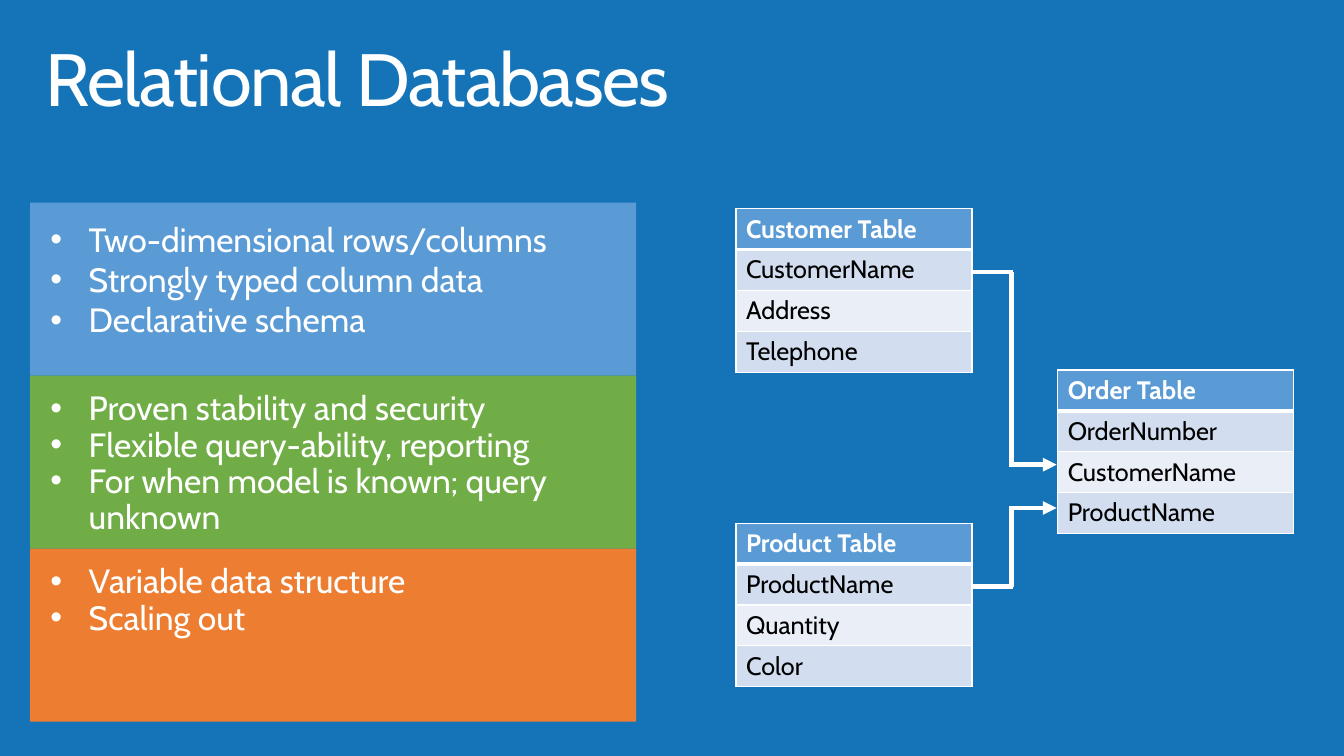
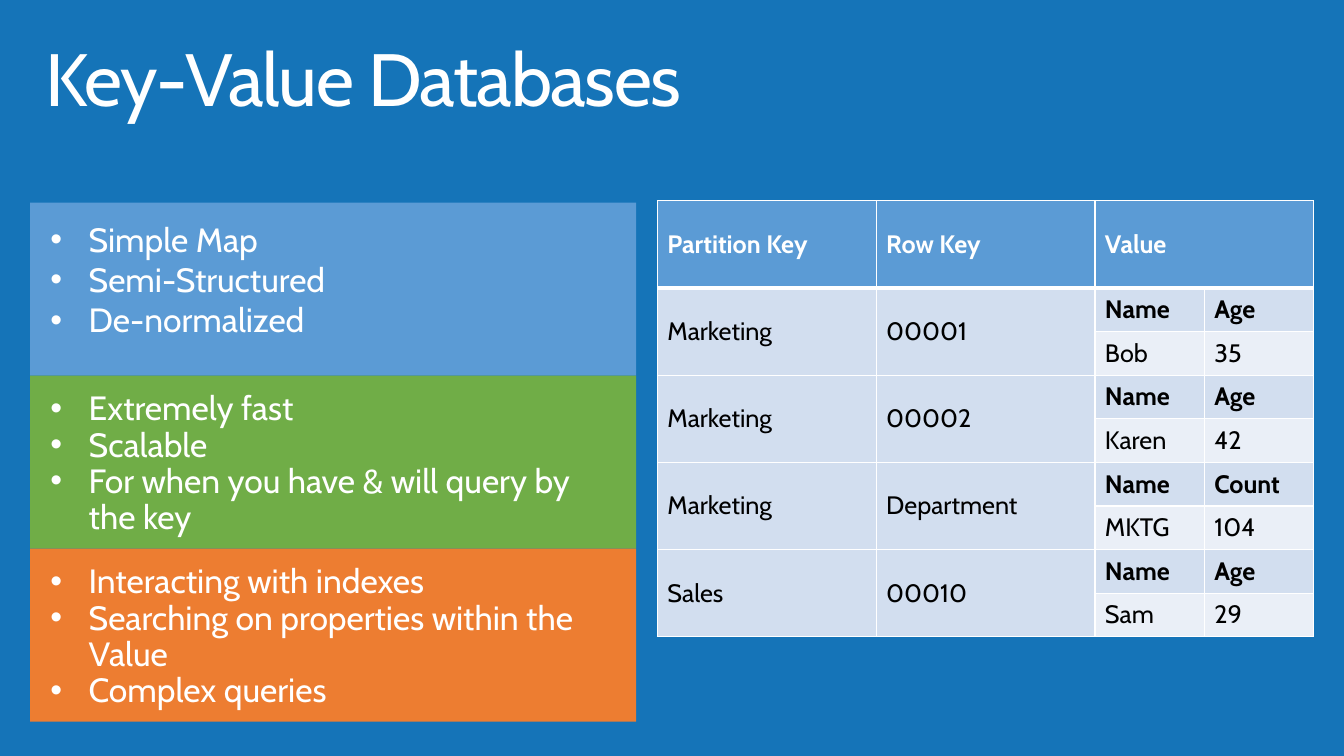
from lxml import etree
from pptx import Presentation
from pptx.dml.color import RGBColor
from pptx.enum.shapes import MSO_CONNECTOR, MSO_SHAPE
from pptx.enum.text import MSO_ANCHOR, PP_ALIGN
from pptx.oxml.ns import qn
from pptx.util import Inches, Pt

STRAIGHT = MSO_CONNECTOR.STRAIGHT
RECTANGLE = MSO_SHAPE.RECTANGLE
TOP, MIDDLE = MSO_ANCHOR.TOP, MSO_ANCHOR.MIDDLE
LEFT = PP_ALIGN.LEFT

FONT = "Cabin"
WHITE, BLACK, BACKDROP = "FFFFFF", "000000", "1574B8"
BLUE, GREEN, ORANGE = "5B9BD5", "70AD47", "ED7D31"
ROW_DARK, ROW_LIGHT = "D2DEEF", "EAEFF7"

TITLE_BOX = (0.29, 0.32, 12.62, 0.98)
BANDS_BOX = (0.3, 2.01, 6.01, 5.15)
BAND_STYLES = [(BLUE, 1.0), (GREEN, 0.9), (ORANGE, 0.9)]
ENTITY_WIDTH, ENTITY_ROW = 2.34, 0.4


def rgb(value):
    """Turn a hex string into a colour."""
    return RGBColor.from_string(value)


def write(frame, lines, size=18, color=WHITE, bold=False, spacing=None,
          margins=None, anchor=TOP, bullet=False, tracking=None):
    """Fill a text frame with one paragraph per line in one format."""
    frame.word_wrap = True
    frame.vertical_anchor = anchor
    if margins:
        frame.margin_left = frame.margin_right = Inches(margins[0])
        frame.margin_top = frame.margin_bottom = Inches(margins[1])
    frame.text = "\n".join(lines)
    for paragraph in frame.paragraphs:
        paragraph.alignment = LEFT
        if spacing:
            paragraph.line_spacing = spacing
        if bullet:
            properties = paragraph._p.get_or_add_pPr()
            properties.set("marL", str(Inches(0.38)))
            properties.set("indent", str(-Inches(0.38)))
            etree.SubElement(properties, qn("a:buFont")).set("typeface", "Arial")
            etree.SubElement(properties, qn("a:buChar")).set("char", "•")
        for run in paragraph.runs:
            font = run.font
            font.name, font.size, font.bold = FONT, Pt(size), bold
            font.color.rgb = rgb(color)
            if tracking:
                run._r.get_or_add_rPr().set("spc", str(tracking))


def add_titled_slide(prs, title):
    """Add a title-only slide with its heading in place."""
    slide = prs.slides.add_slide(prs.slide_layouts[5])
    heading = slide.shapes.title
    heading.left, heading.top, heading.width, heading.height = map(Inches, TITLE_BOX)
    write(heading.text_frame, [title], size=52.9, spacing=0.9,
          margins=(0.16, 0.1), tracking=-98)
    return slide


def add_bands(slide, box, band_texts):
    """Stack equal coloured bands of bullets inside the box."""
    left, top, width, height = box
    band_height = height / len(band_texts)
    for index, (points, (color, spacing)) in enumerate(zip(band_texts, BAND_STYLES)):
        band = slide.shapes.add_shape(
            RECTANGLE, Inches(left), Inches(top + index * band_height),
            Inches(width), Inches(band_height))
        band.shadow.inherit = False
        band.fill.solid()
        band.fill.fore_color.rgb = rgb(color)
        band.line.fill.background()
        write(band.text_frame, points, size=24, spacing=spacing,
              margins=(0.2, 0.16), bullet=True)


def set_borders(cell, top=1, bottom=1):
    """Draw white borders round a cell, with widths in points."""
    properties = cell._tc.get_or_add_tcPr()
    for side, width in (("L", 1), ("R", 1), ("T", top), ("B", bottom)):
        line = etree.SubElement(properties, qn("a:ln" + side), w=str(Pt(width)))
        fill = etree.SubElement(line, qn("a:solidFill"))
        etree.SubElement(fill, qn("a:srgbClr"), val=WHITE)


def add_grid(slide, left, top, widths, heights):
    """Add a plain table with the given column widths and row heights."""
    grid = slide.shapes.add_table(
        len(heights), len(widths), Inches(left), Inches(top),
        Inches(sum(widths)), Inches(sum(heights))).table
    grid.horz_banding = False
    for column, width in zip(grid.columns, widths):
        column.width = Inches(width)
    for row, height in zip(grid.rows, heights):
        row.height = Inches(height)
    return grid


def fill_cell(grid, row, column, text, fill, bold=False, anchor=TOP):
    """Format one cell, with a thick rule below the header row."""
    cell = grid.cell(row, column)
    header = row == 0
    set_borders(cell, top=3 if row == 1 else 1, bottom=3 if header else 1)
    cell.fill.solid()
    cell.fill.fore_color.rgb = rgb(fill)
    if text:
        write(cell.text_frame, [text], color=WHITE if header else BLACK, bold=bold)
    cell.vertical_anchor = anchor


def add_entity(slide, left, top, name, fields):
    """Draw one database table with its name and fields."""
    rows = [name] + fields
    grid = add_grid(slide, left, top, [ENTITY_WIDTH], [ENTITY_ROW] * len(rows))
    for row, text in enumerate(rows):
        fill = BLUE if row == 0 else ROW_DARK if row % 2 else ROW_LIGHT
        fill_cell(grid, row, 0, text, fill, bold=row == 0)


def add_line(slide, start, end, arrow=False):
    """Draw a white line, with an arrowhead at its end on request."""
    line = slide.shapes.add_connector(STRAIGHT, *map(Inches, start + end))
    line.line.color.rgb = rgb(WHITE)
    line.line.width = Pt(3.25)
    if arrow:
        etree.SubElement(line.line._get_or_add_ln(), qn("a:tailEnd"), type="triangle")
    etree.SubElement(line._element.spPr, qn("a:effectLst"))


def add_relation(slide, start, end):
    """Link two fields with a stepped arrow of three lines."""
    (start_x, start_y), (end_x, end_y) = start, end
    bend_x, overlap = end_x - 0.45, 0.02
    add_line(slide, start, (bend_x + overlap, start_y))
    add_line(slide, (bend_x, start_y), (bend_x, end_y))
    add_line(slide, (bend_x - overlap, end_y), end, arrow=True)


def add_entity_diagram(slide, left, top):
    """Place the three related entities and their arrows."""
    order_left, order_top, product_top = left + 3.19, top + 1.6, top + 3.12
    for start_y, end_y in ((top + 0.63, order_top + 0.94),
                           (product_top + 0.63, order_top + 1.37)):
        add_relation(slide, (left + ENTITY_WIDTH - 0.05, start_y),
                     (order_left - 0.01, end_y))
    add_entity(slide, left, top, "Customer Table",
               ["CustomerName", "Address", "Telephone"])
    add_entity(slide, left, product_top, "Product Table",
               ["ProductName", "Quantity", "Color"])
    add_entity(slide, order_left, order_top, "Order Table",
               ["OrderNumber", "CustomerName", "ProductName"])


def add_key_value_table(slide, box, records):
    """Draw keys beside a two-line name and value block for each record."""
    left, top, width, height = box
    key_width = width / 3
    row_height = height / (2 * len(records) + 2)
    grid = add_grid(slide, left, top, [key_width] * 2 + [key_width / 2] * 2,
                    [2 * row_height] + [row_height] * (2 * len(records)))
    for column, text in enumerate(["Partition Key", "Row Key", "Value", ""]):
        fill_cell(grid, 0, column, text, BLUE, bold=True, anchor=MIDDLE)
    grid.cell(0, 2).merge(grid.cell(0, 3))
    for index, (partition, row_key, labels, values) in enumerate(records):
        first = 2 * index + 1
        for column, text in enumerate((partition, row_key) + labels):
            fill_cell(grid, first, column, text, ROW_DARK, bold=column > 1, anchor=MIDDLE)
        for column, text in enumerate(("", "") + values):
            fill = ROW_LIGHT if column > 1 else ROW_DARK
            fill_cell(grid, first + 1, column, text, fill, anchor=MIDDLE)
        for column in range(2):
            grid.cell(first, column).merge(grid.cell(first + 1, column))


def build_relational(prs):
    """Build the slide on relational databases."""
    slide = add_titled_slide(prs, "Relational Databases")
    add_bands(slide, BANDS_BOX, [
        ["Two-dimensional rows/columns", "Strongly typed column data",
         "Declarative schema"],
        ["Proven stability and security", "Flexible query-ability, reporting",
         "For when model is known; query unknown"],
        ["Variable data structure", "Scaling out"],
    ])
    add_entity_diagram(slide, 7.3, 2.07)


def build_key_value(prs):
    """Build the slide on key-value databases."""
    slide = add_titled_slide(prs, "Key-Value Databases")
    add_bands(slide, BANDS_BOX, [
        ["Simple Map", "Semi-Structured", "De-normalized"],
        ["Extremely fast", "Scalable", "For when you have & will query by the key"],
        ["Interacting with indexes", "Searching on properties within the Value",
         "Complex queries"],
    ])
    add_key_value_table(slide, (6.52, 1.99, 6.51, 4.33), [
        ("Marketing", "00001", ("Name", "Age"), ("Bob", "35")),
        ("Marketing", "00002", ("Name", "Age"), ("Karen", "42")),
        ("Marketing", "Department", ("Name", "Count"), ("MKTG", "104")),
        ("Sales", "00010", ("Name", "Age"), ("Sam", "29")),
    ])


def main():
    """Build and save the presentation."""
    prs = Presentation()
    prs.slide_width, prs.slide_height = Inches(13.33), Inches(7.5)
    backdrop = prs.slide_master.background.fill
    backdrop.solid()
    backdrop.fore_color.rgb = rgb(BACKDROP)
    build_relational(prs)
    build_key_value(prs)
    prs.save("out.pptx")


if __name__ == "__main__":
    main()
